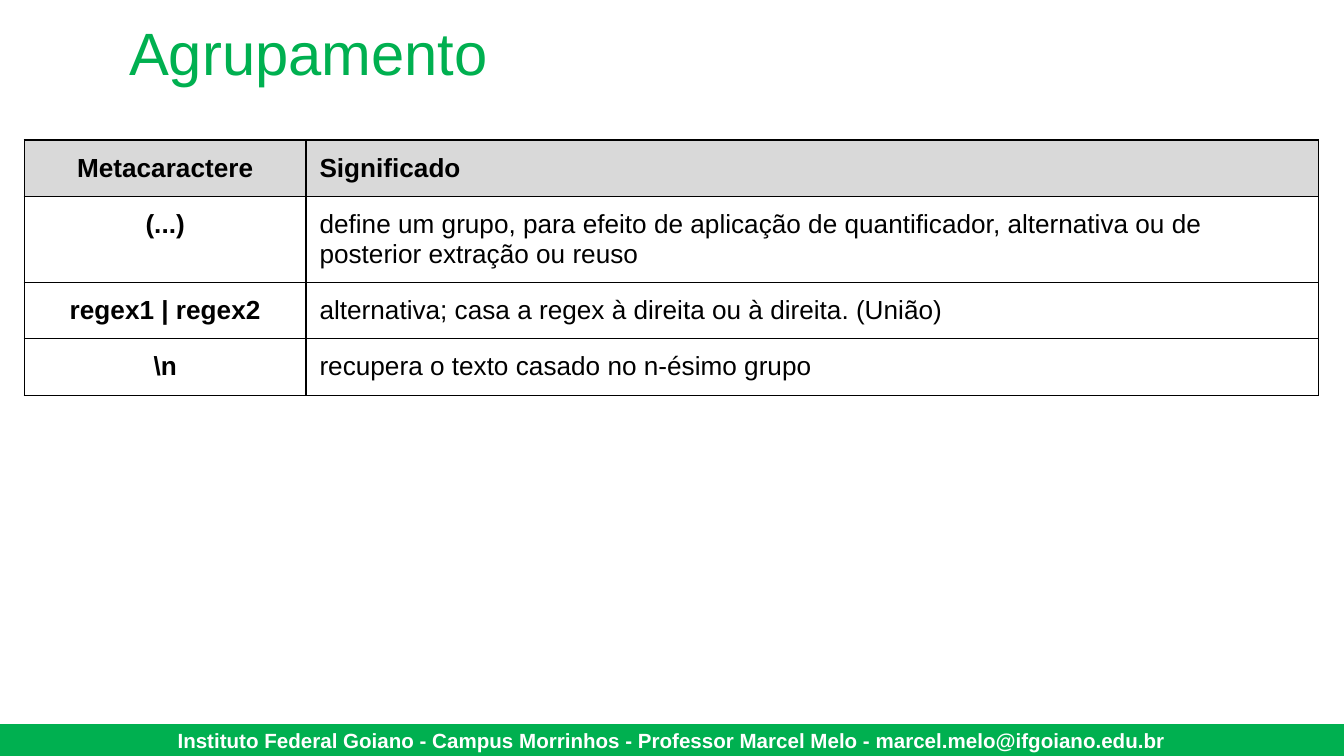
"""Build the slide on regex grouping metacharacters."""
import pptx
import pptx.dml.color
import pptx.enum.shapes
import pptx.enum.text
import pptx.oxml
import pptx.oxml.ns
import pptx.util

Pt = pptx.util.Pt
ALIGN = pptx.enum.text.PP_ALIGN
MIDDLE = pptx.enum.text.MSO_ANCHOR.MIDDLE
TOP = pptx.enum.text.MSO_ANCHOR.TOP

TITLE = "Agrupamento"
FOOTER = ("Instituto Federal Goiano - Campus Morrinhos - "
          "Professor Marcel Melo - marcel.melo@ifgoiano.edu.br")
ROWS = [
    ("Metacaractere", "Significado"),
    ("(...)", "define um grupo, para efeito de aplicação de quantificador, "
              "alternativa ou de posterior extração ou reuso"),
    ("regex1 | regex2", "alternativa; casa a regex à direita ou à direita. (União)"),
    (r"\n", "recupera o texto casado no n-ésimo grupo"),
]

THEME = {
    "font": "Arial", "green": "00B050", "white": "FFFFFF",
    "black": "000000", "gray": "D9D9D9",
    "title": 32, "body": 14, "footer": 11, "line": 0.75,
}
PAGE = (720, 405)
BAR = 17
LEFT, HIGH = 13, 75
COLS = (151, 542.3)
ROW = 30.3
INSET = Pt(7.2)
PADS = {"margin_left": INSET, "margin_right": INSET,
        "margin_top": INSET, "margin_bottom": INSET}


def color(name):
    return pptx.dml.color.RGBColor.from_string(THEME[name])


def apply(item, values):
    for name, value in values.items():
        setattr(item, name, value)


def write(frame, text, size, tint, bold, align):
    frame.text = text
    para = frame.paragraphs[0]
    para.alignment = align
    font = para.runs[0].font
    apply(font, {"name": THEME["font"], "size": Pt(THEME[size]), "bold": bold})
    font.color.rgb = color(tint)


def edge(cell):
    props = cell._tc.get_or_add_tcPr()
    for side in "LRTB":
        props.append(pptx.oxml.parse_xml(
            f'<a:ln{side} {pptx.oxml.ns.nsdecls("a")} w="{Pt(THEME["line"])}">'
            f'<a:solidFill><a:srgbClr val="{THEME["black"]}"/></a:solidFill>'
            f'</a:ln{side}>'))


def add_title(slide):
    title = slide.shapes.title
    apply(title, {"left": Pt(62), "top": Pt(0), "width": Pt(658), "height": Pt(55)})
    frame = title.text_frame
    apply(frame, {**PADS, "vertical_anchor": MIDDLE, "word_wrap": True,
                  "auto_size": pptx.enum.text.MSO_AUTO_SIZE.NONE})
    write(frame, TITLE, "title", "green", False, ALIGN.LEFT)


def add_footer(slide):
    bar = slide.shapes.add_shape(
        pptx.enum.shapes.MSO_SHAPE.RECTANGLE,
        Pt(0), Pt(PAGE[1] - BAR), Pt(PAGE[0]), Pt(BAR))
    bar.shadow.inherit = False
    bar.fill.solid()
    bar.fill.fore_color.rgb = color("green")
    bar.line.fill.background()
    apply(bar.text_frame, {**PADS, "vertical_anchor": MIDDLE, "word_wrap": True})
    write(bar.text_frame, FOOTER, "footer", "white", True, ALIGN.CENTER)


def add_grid(slide):
    table = slide.shapes.add_table(
        len(ROWS), len(COLS), Pt(LEFT), Pt(HIGH),
        Pt(sum(COLS)), Pt(ROW * len(ROWS))).table
    apply(table, {"first_row": False, "horz_banding": False})
    for col, width in zip(table.columns, COLS):
        col.width = Pt(width)
    for r, row in enumerate(ROWS):
        table.rows[r].height = Pt(ROW)
        for c, text in enumerate(row):
            cell = table.cell(r, c)
            apply(cell, {**PADS, "vertical_anchor": TOP})
            edge(cell)
            if r == 0:
                cell.fill.solid()
                cell.fill.fore_color.rgb = color("gray")
            else:
                cell.fill.background()
            write(cell.text_frame, text, "body", "black", r == 0 or c == 0,
                  ALIGN.LEFT if c else ALIGN.CENTER)


def main():
    deck = pptx.Presentation()
    apply(deck, {"slide_width": Pt(PAGE[0]), "slide_height": Pt(PAGE[1])})
    slide = deck.slides.add_slide(deck.slide_layouts[5])
    add_footer(slide)
    add_grid(slide)
    add_title(slide)
    deck.save("out.pptx")


if __name__ == "__main__":
    main()
